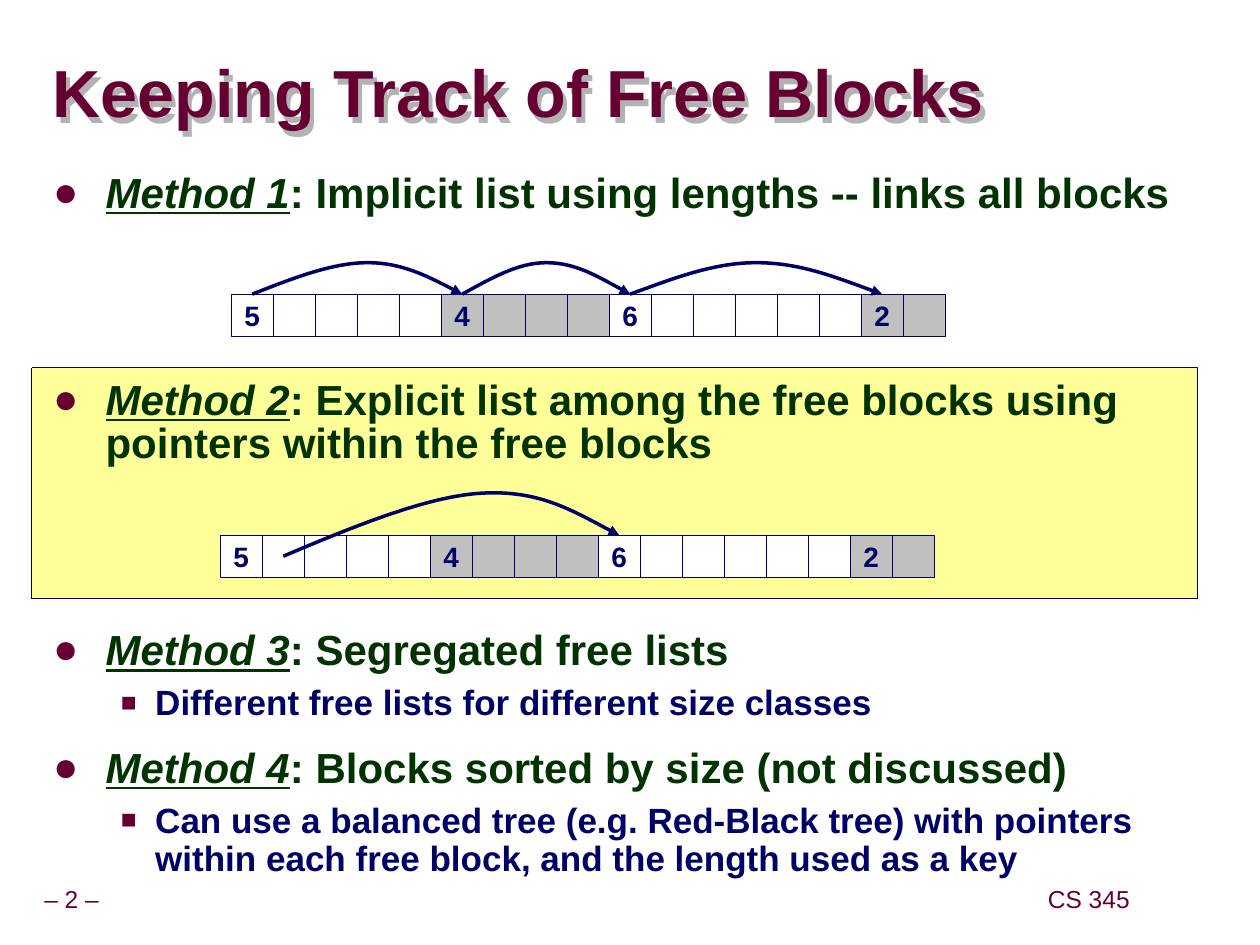
from lxml import etree
from pptx import Presentation, util as u
from pptx.dml.color import RGBColor
from pptx.enum import dml, shapes, text
from pptx.oxml import parse_xml
from pptx.oxml.ns import nsdecls, qn

MAROON = RGBColor(0x66, 0x00, 0x33)
GREEN = RGBColor(0x00, 0x33, 0x00)
NAVY = RGBColor(0x00, 0x00, 0x66)
YELLOW = RGBColor(0xFF, 0xFF, 0x99)
GREY = RGBColor(0xC0, 0xC0, 0xC0)
WHITE = RGBColor(0xFF, 0xFF, 0xFF)

# Content
TITLE = "Keeping Track of Free Blocks"
FOOTERS = [("– 2 –", -0.22, 3.33), ("CS 345", 20.75, 2.4)]  # text, left, width
# method, description, space before in points, sub-point
METHODS = [
    ("Method 1", ": Implicit list using lengths -- links all blocks", 0, None),
    ("Method 2", ": Explicit list among the free blocks using pointers "
     "within the free blocks", 94, None),
    ("Method 3", ": Segregated free lists", 94,
     "Different free lists for different size classes"),
    ("Method 4", ": Blocks sorted by size (not discussed)", 15,
     "Can use a balanced tree (e.g. Red-Black tree) with pointers "
     "within each free block, and the length used as a key"),
]
BLOCKS = [(5, WHITE), (4, GREY), (6, WHITE), (2, GREY)]  # length in cells, colour

# Arc shapes: start, then two curves of three points each;
# x as a share of the span, y in cells from the top of the row
EVEN = [(0, 0), (0.17, -0.37), (0.33, -0.75), (0.5, -0.75),
        (0.67, -0.75), (0.83, -0.37), (1, 0)]
SKEWED = [(0, 0), (0.19, -0.37), (0.38, -0.75), (0.55, -0.75),
          (0.71, -0.75), (0.86, -0.37), (1, 0)]
RISING = [(0, 0.5), (0.21, -0.21), (0.43, -0.93), (0.59, -1),
          (0.76, -1.08), (0.87, -0.54), (1, 0)]
# left, top, arcs as (from cell, to cell, shape)
MEMORY_ROWS = [
    (4.66, 5.93, [(0, 5, SKEWED), (5, 9, EVEN), (9, 15, EVEN)]),
    (4.44, 10.79, [(1, 9, RISING)]),
]
CELL = 2.54 / 3

deck = Presentation()
deck.slide_width, deck.slide_height = u.Cm(25.4), u.Cm(19.05)
slide = deck.slides.add_slide(deck.slide_layouts[6])


def style(run, size, color, bold=True):
    run.font.name, run.font.size, run.font.bold = "Arial", u.Pt(size), bold
    run.font.color.rgb = color


def text_box(left, top, width, height, margins=(0, 0), wrap=True):
    box = slide.shapes.add_textbox(*map(u.Cm, (left, top, width, height)))
    frame = box.text_frame
    frame.word_wrap = wrap
    frame.margin_left = frame.margin_right = u.Cm(margins[0])
    frame.margin_top = frame.margin_bottom = u.Cm(margins[1])
    return box


def rectangle(left, top, width, height, fill):
    rect = slide.shapes.add_shape(
        shapes.MSO_SHAPE.RECTANGLE, *map(u.Cm, (left, top, width, height)))
    rect.shadow.inherit = False
    rect.fill.solid()
    rect.fill.fore_color.rgb = fill
    rect.line.color.rgb = NAVY
    rect.line.width = u.Pt(0.25)
    return rect


def add_bullet(paragraph, char, percent, left, hang):
    props = paragraph._p.get_or_add_pPr()
    props.set("marL", str(u.Cm(left)))
    props.set("indent", str(-u.Cm(hang)))
    for xml in (f'<a:buClr {nsdecls("a")}><a:srgbClr val="{MAROON}"/></a:buClr>',
                f'<a:buSzPct {nsdecls("a")} val="{percent * 1000}"/>',
                f'<a:buFont {nsdecls("a")} typeface="Arial"/>',
                f'<a:buChar {nsdecls("a")} char="{char}"/>'):
        props.append(parse_xml(xml))


def draw_arc(left, top, start, end, outline):
    points = [(u.Cm(left + CELL * (start + 0.5 + (end - start) * x)),
               u.Cm(top + CELL * y)) for x, y in outline]
    builder = slide.shapes.build_freeform(*points[0])
    builder.add_line_segments(points[1:], close=False)
    arc = builder.convert_to_shape()
    arc.shadow.inherit = False
    arc.fill.background()
    arc.line.color.rgb = NAVY
    arc.line.width = u.Pt(2)
    etree.SubElement(arc.line._get_or_add_ln(), qn("a:tailEnd"), type="triangle")
    # Turn each three straight segments into one Bézier curve
    segments = list(arc._element.iter(qn("a:lnTo")))
    outline_path = segments[0].getparent()
    for i in range(0, len(segments), 3):
        curve = etree.SubElement(outline_path, qn("a:cubicBezTo"))
        for segment in segments[i:i + 3]:
            curve.append(segment[0])
            outline_path.remove(segment)


# Footers
for label, left, width in FOOTERS:
    footer = text_box(left, 17.77, width, 0.79, (0.13, 0.13), wrap=False)
    footer.text_frame.vertical_anchor = text.MSO_ANCHOR.MIDDLE
    line = footer.text_frame.paragraphs[0]
    line.text, line.alignment, line.line_spacing = label, text.PP_ALIGN.CENTER, 0.9
    style(line.runs[0], 14, MAROON, bold=False)

# Highlight behind method 2
highlight = rectangle(0.64, 7.41, 23.5, 4.66, YELLOW)
highlight.line.dash_style = dml.MSO_LINE.ROUND_DOT

# Title with a hard grey shadow
title = text_box(1.06, 1.15, 22.66, 1.61)
title.text_frame.vertical_anchor = text.MSO_ANCHOR.MIDDLE
heading = title.text_frame.paragraphs[0]
heading.text, heading.line_spacing = TITLE, 0.87
style(heading.runs[0], 38, MAROON)
title._element.spPr.append(parse_xml(
    f'<a:effectLst {nsdecls("a")}><a:outerShdw dist="{u.Cm(0.14)}" dir="3000000">'
    '<a:srgbClr val="B2B2B2"/></a:outerShdw></a:effectLst>'))

# Methods and their sub-points
body = text_box(0.82, 3.38, 23.09, 14.5, (0.25, 0.13)).text_frame
for number, (name, description, space, detail) in enumerate(METHODS):
    method = body.add_paragraph() if number else body.paragraphs[0]
    add_bullet(method, "●", 100, 1.06, 1.06)
    method.line_spacing = 0.85
    method.space_before = u.Pt(space)
    for part in (name, description):
        run = method.add_run()
        run.text = part
        style(run, 24, GREEN)
        run.font.italic = run.font.underline = part == name
    if detail:
        point = body.add_paragraph()
        point.text, point.level = detail, 1
        add_bullet(point, "■", 75, 2.06, 0.69)
        point.line_spacing, point.space_before = 0.9, u.Pt(6.2)
        style(point.runs[0], 20, NAVY)

# Memory rows: cells with the length in the first cell of each block
for left, top, arcs in MEMORY_ROWS:
    position = 0
    for length, color in BLOCKS:
        for offset in range(length):
            cell = rectangle(left + CELL * position, top, CELL, CELL, color)
            position += 1
            if offset == 0:
                cell.text_frame.text = str(length)
                cell.text_frame.word_wrap = False
                cell.text_frame.vertical_anchor = text.MSO_ANCHOR.MIDDLE
                size_label = cell.text_frame.paragraphs[0]
                size_label.alignment = text.PP_ALIGN.CENTER
                style(size_label.runs[0], 16, NAVY)
    for start, end, outline in arcs:
        draw_arc(left, top, start, end, outline)

deck.save("out.pptx")
